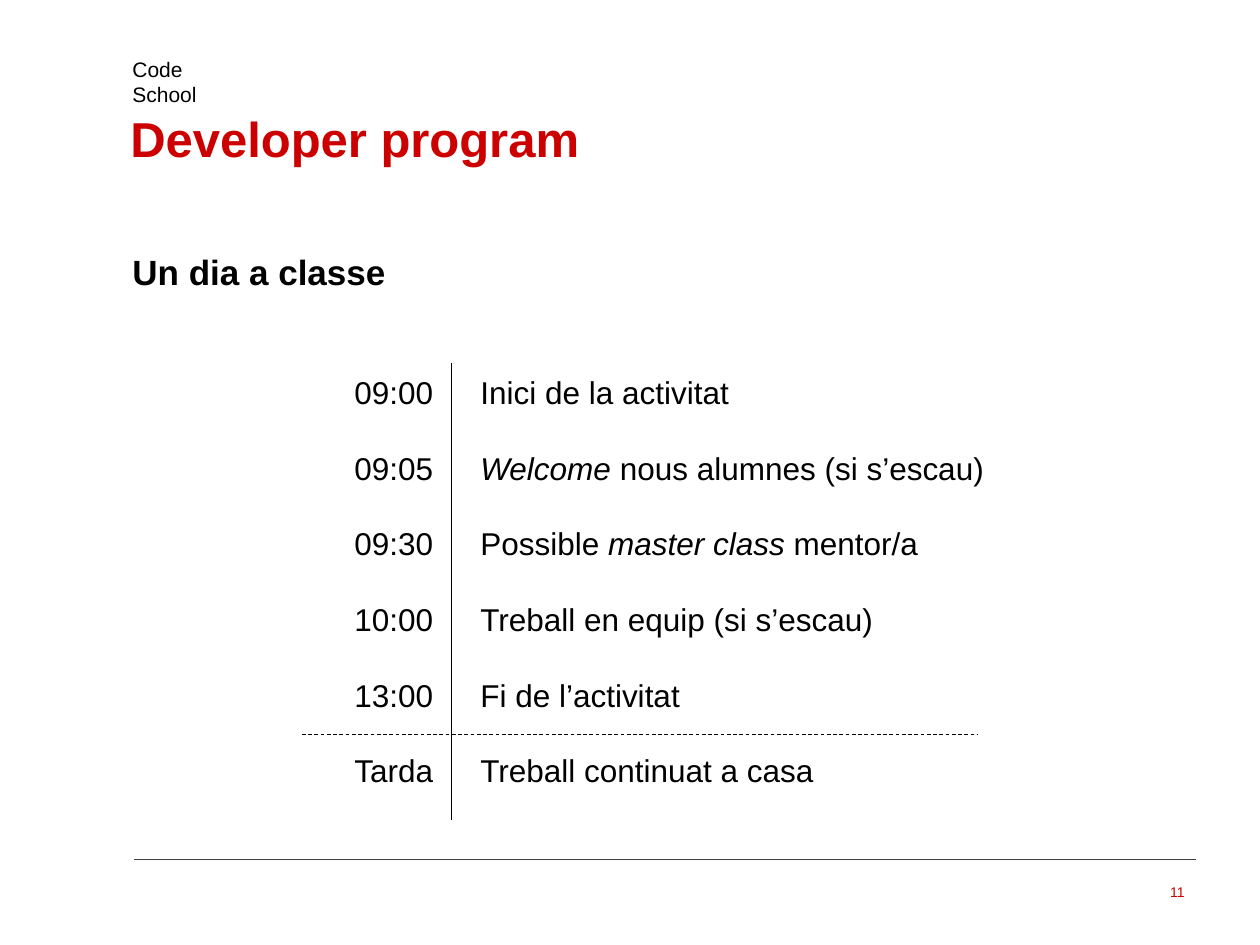
"""Build the slide with the timetable of a day in class."""
from lxml import etree
from pptx import Presentation
from pptx.dml.color import RGBColor
from pptx.enum.dml import MSO_LINE
from pptx.enum.shapes import MSO_CONNECTOR
from pptx.enum.text import MSO_AUTO_SIZE, PP_ALIGN
from pptx.oxml.ns import qn
from pptx.util import Pt

STRAIGHT = MSO_CONNECTOR.STRAIGHT
DASH = MSO_LINE.DASH
RIGHT = PP_ALIGN.RIGHT
GROW = MSO_AUTO_SIZE.SHAPE_TO_FIT_TEXT
FIXED = MSO_AUTO_SIZE.NONE

SCALE = 914400 / 126
RED, BLACK, GREY = "CC0000", "000000", "404040"
FONT = "Arial"
HAIRLINE = 0.5

SCHEDULE = [
    ("09:00", [("Inici de la activitat", False)]),
    ("09:05", [("Welcome", True), (" nous alumnes (si s’escau)", False)]),
    ("09:30", [("Possible ", False), ("master class ", True), ("mentor/a", False)]),
    ("10:00", [("Treball en equip (si s’escau)", False)]),
    ("13:00", [("Fi de l’activitat", False)]),
    ("Tarda", [("Treball continuat a casa", False)]),
]
RULES = [
    ((134, 859, 1196, 859), GREY, None),
    ((451, 363, 451, 820), BLACK, None),
    ((302, 734, 978, 734), BLACK, DASH),
]


def px(length):
    return round(length * SCALE)


def color(value):
    return RGBColor.from_string(value)


def add_text(slide, paragraphs, box, size, fill=BLACK, bold=False, align=None,
             wrap=True, fit=FIXED, line=None, gap=None):
    frame = slide.shapes.add_textbox(*map(px, box)).text_frame
    frame.word_wrap = wrap
    frame.auto_size = fit
    for index, pieces in enumerate(paragraphs):
        paragraph = frame.paragraphs[0] if index == 0 else frame.add_paragraph()
        paragraph.alignment = align
        if line:
            paragraph.line_spacing = Pt(line)
        if gap and index:
            paragraph.space_before = Pt(gap)
        for words, italic in pieces:
            run = paragraph.add_run()
            run.text = words
            run.font.name = FONT
            run.font.size = Pt(size)
            run.font.bold = bold
            run.font.italic = italic
            run.font.color.rgb = color(fill)


def add_rule(slide, ends, stroke, dash):
    rule = slide.shapes.add_connector(STRAIGHT, *map(px, ends))
    rule.line.color.rgb = color(stroke)
    rule.line.width = Pt(HAIRLINE)
    if dash:
        rule.line.dash_style = dash
    etree.SubElement(rule._element.spPr, qn("a:effectLst"))


def main():
    deck = Presentation()
    deck.slide_width, deck.slide_height = px(1260), px(945)
    slide = deck.slides.add_slide(deck.slide_layouts[6])

    for rule in RULES:
        add_rule(slide, *rule)

    add_text(slide, [[("11", False)]], (903, 877, 294, 50), 8, fill=RED, align=RIGHT)
    add_text(slide, [[("Code School", False)]], (120, 50, 142, 38), 12,
             wrap=False, fit=GROW)
    add_text(slide, [[("Un dia a classe", False)]], (120, 244, 777, 55), 20,
             bold=True, fit=GROW, line=24)
    add_text(slide, [[("Developer program", False)]], (118, 102, 1072, 122), 28,
             fill=RED, bold=True)

    timetable = [[(time + "\t", False)] + activity for time, activity in SCHEDULE]
    add_text(slide, timetable, (342, 367, 694, 432), 18, fit=GROW, gap=21.6)

    deck.save("out.pptx")


if __name__ == "__main__":
    main()
